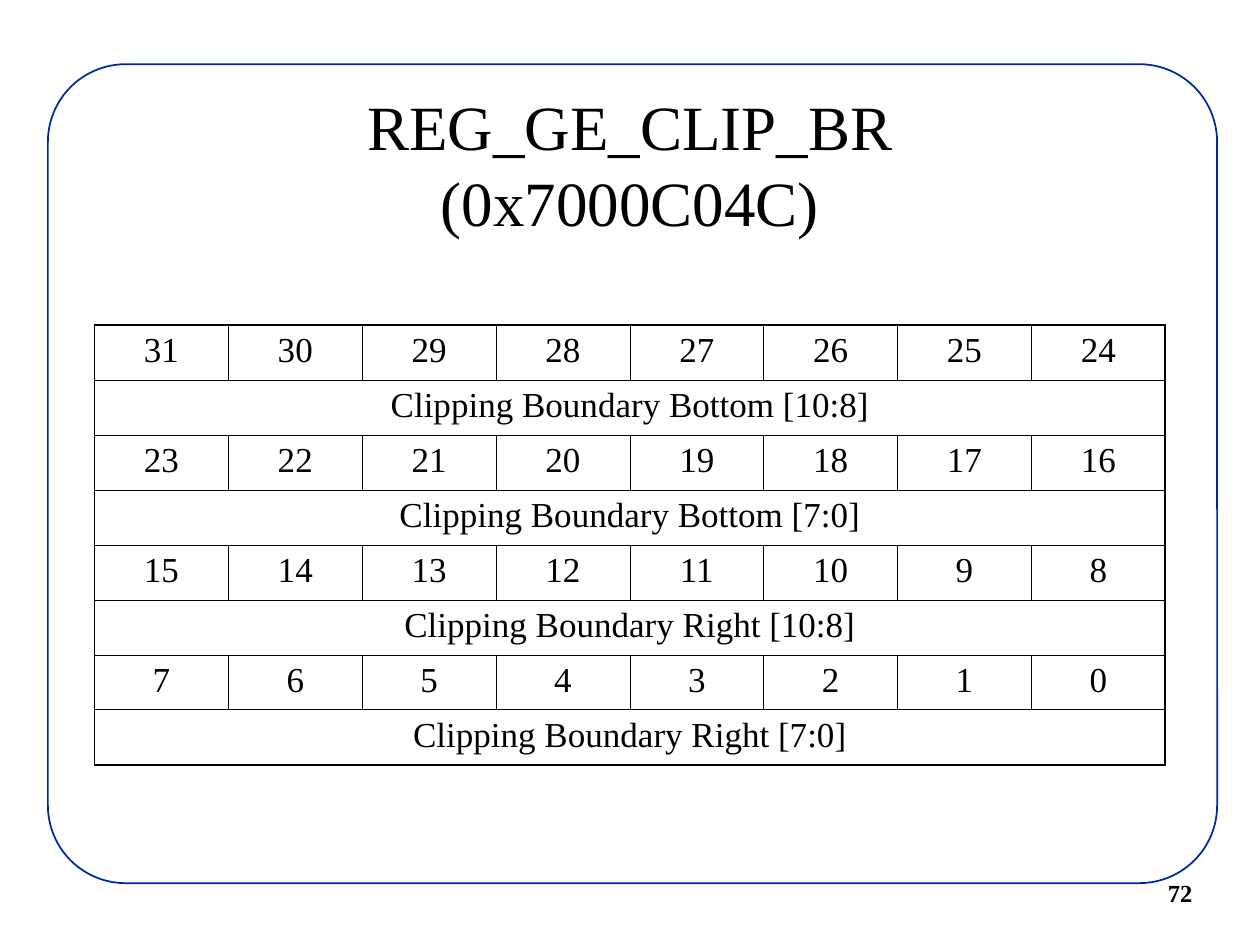
from dataclasses import dataclass

from lxml.etree import SubElement
from pptx import Presentation
from pptx.dml.color import RGBColor
from pptx.enum.shapes import MSO_SHAPE as Preset
from pptx.enum.text import MSO_ANCHOR as Anchor, PP_ALIGN as Align
from pptx.oxml.ns import qn
from pptx.util import Inches, Pt


@dataclass(frozen=True)
class Theme:
    font: str = "Times New Roman"
    ink: RGBColor = RGBColor(0, 0, 0)
    paper: RGBColor = RGBColor(255, 255, 255)
    frame: RGBColor = RGBColor(0x00, 0x27, 0x9F)
    title_size: float = 36
    cell_size: float = 20
    page_size: float = 14
    inner_rule: float = 0.45
    outer_rule: float = 1.08


@dataclass(frozen=True)
class RegisterByte:
    high_bit: int
    field: str


@dataclass(frozen=True)
class Label:
    lines: tuple[str, ...]
    box: tuple[float, float, float, float]
    size: float
    align: Align = Align.LEFT
    anchor: Anchor = Anchor.TOP
    bold: bool = False


THEME = Theme()
BITS = 8
TITLE = Label(
    ("REG_GE_CLIP_BR", "(0x7000C04C)"),
    (0.75, 0.67, 8.5, 1.25),
    THEME.title_size,
    Align.CENTER,
    Anchor.MIDDLE,
)
PAGE_NUMBER = Label(("72",), (9.17, 6.92, 1.08, 0.33), THEME.page_size, bold=True)
REGISTER = (
    RegisterByte(31, "Clipping Boundary Bottom [10:8]"),
    RegisterByte(23, "Clipping Boundary Bottom [7:0]"),
    RegisterByte(15, "Clipping Boundary Right [10:8]"),
    RegisterByte(7, "Clipping Boundary Right [7:0]"),
)


def add_run(paragraph, text: str, size: float, bold: bool = False) -> None:
    run = paragraph.add_run()
    run.text = text
    run.font.name = THEME.font
    run.font.size = Pt(size)
    run.font.bold = bold
    run.font.color.rgb = THEME.ink


def draw_frame(slide) -> None:
    frame = slide.shapes.add_shape(
        Preset.ROUNDED_RECTANGLE, Inches(0.38), Inches(0.51), Inches(9.28), Inches(6.5)
    )
    frame.adjustments[0] = 0.095
    frame.shadow.inherit = False
    frame.fill.solid()
    frame.fill.fore_color.rgb = THEME.paper
    frame.line.color.rgb = THEME.frame
    frame.line.width = Pt(1)


def draw_label(slide, label: Label) -> None:
    text_frame = slide.shapes.add_textbox(*map(Inches, label.box)).text_frame
    text_frame.word_wrap = True
    text_frame.vertical_anchor = label.anchor
    paragraph = text_frame.paragraphs[0]
    paragraph.alignment = label.align
    for index, line in enumerate(label.lines):
        if index:
            paragraph.add_line_break()
        add_run(paragraph, line, label.size, label.bold)


def rule_cell(cell, outer_sides: dict[str, bool]) -> None:
    properties = cell._tc.get_or_add_tcPr()
    for side, outer in outer_sides.items():
        width = Pt(THEME.outer_rule if outer else THEME.inner_rule)
        rule = SubElement(properties, qn(f"a:ln{side}"), w=str(width))
        solid = SubElement(rule, qn("a:solidFill"))
        SubElement(solid, qn("a:srgbClr"), val=str(THEME.ink))


def fill_cell(table, row: int, column: int, text: str, span: int = 1) -> None:
    cell = table.cell(row, column)
    last_column = column + span - 1
    if span > 1:
        cell.merge(table.cell(row, last_column))
    rule_cell(cell, {
        "L": column == 0,
        "R": last_column == BITS - 1,
        "T": row == 0,
        "B": row == len(table.rows) - 1,
    })
    cell.fill.background()
    paragraph = cell.text_frame.paragraphs[0]
    paragraph.alignment = Align.CENTER
    add_run(paragraph, text, THEME.cell_size)


def draw_register(slide) -> None:
    row_count = 2 * len(REGISTER)
    table = slide.shapes.add_table(
        row_count, BITS, Inches(0.75), Inches(2.58), Inches(8.5), Inches(3.49)
    ).table
    table.first_row = False
    table.horz_banding = False
    for index, byte in enumerate(REGISTER):
        for column in range(BITS):
            fill_cell(table, 2 * index, column, str(byte.high_bit - column))
        fill_cell(table, 2 * index + 1, 0, byte.field, span=BITS)


def main() -> None:
    deck = Presentation()
    deck.slide_width, deck.slide_height = Inches(10), Inches(7.5)
    slide = deck.slides.add_slide(deck.slide_layouts[6])
    draw_frame(slide)
    draw_label(slide, PAGE_NUMBER)
    draw_label(slide, TITLE)
    draw_register(slide)
    deck.save("out.pptx")


if __name__ == "__main__":
    main()
